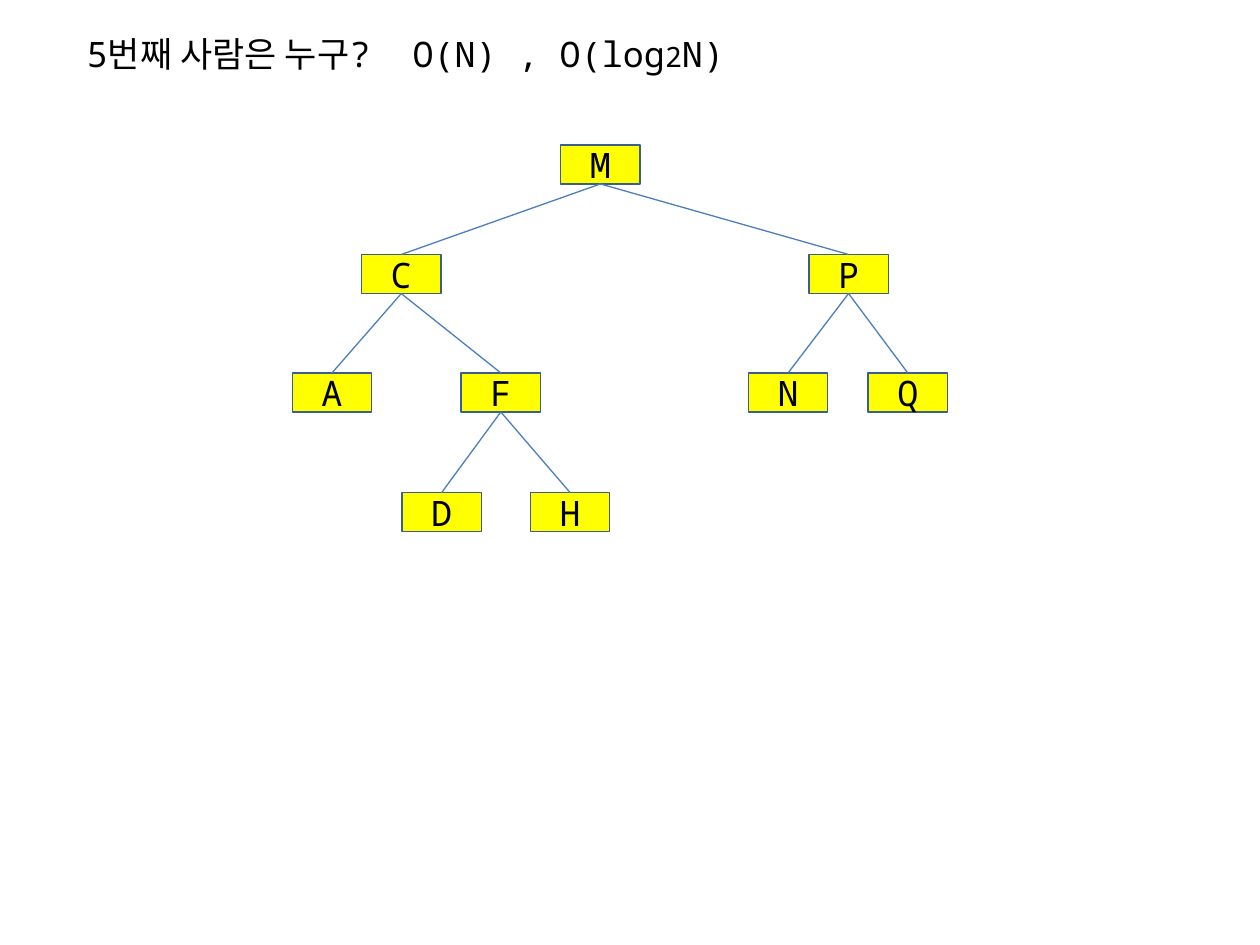
import pptx
import pptx.util
import pptx.dml.color
import pptx.enum.shapes
import pptx.enum.text
import pptx.oxml.ns
import lxml.etree

Inches = pptx.util.Inches
Pt = pptx.util.Pt
Align = pptx.enum.text.PP_ALIGN
Anchor = pptx.enum.text.MSO_ANCHOR

# Letter: (left, level, parent)
NODES = {
    "M": (4.45, 0, None),
    "C": (2.87, 1, "M"),
    "P": (6.42, 1, "M"),
    "A": (2.32, 2, "C"),
    "F": (3.66, 2, "C"),
    "N": (5.94, 2, "P"),
    "Q": (6.89, 2, "P"),
    "D": (3.19, 3, "F"),
    "H": (4.21, 3, "F"),
}
TOPS = [1.15, 2.02, 2.96, 3.91]
TITLE = [("5번째 사람은 누구?  O(N) , O(log", 20), ("2", 16), ("N)", 20)]


def color(text):
    return pptx.dml.color.RGBColor.from_string(text)


class Board:
    face = "Noto Sans Mono"
    ink = "000000"
    fill = "FFFF00"
    edge = "3A5F8C"
    link = "4B7EBC"
    line = 0.75
    size = 20
    wide, high = 0.63, 0.31

    def __init__(self, slide):
        self.slide = slide

    def style(self, run, size):
        run.font.name = self.face
        run.font.size = Pt(size)
        run.font.color.rgb = color(self.ink)

    def title(self, parts, left, top, wide, high):
        shape = self.slide.shapes.title
        shape.left, shape.top = Inches(left), Inches(top)
        shape.width, shape.height = Inches(wide), Inches(high)
        frame = shape.text_frame
        frame.word_wrap = True
        frame.auto_size = pptx.enum.text.MSO_AUTO_SIZE.NONE
        frame.vertical_anchor = Anchor.TOP
        para = frame.paragraphs[0]
        para.alignment = Align.LEFT
        for text, size in parts:
            run = para.add_run()
            run.text = text
            self.style(run, size)

    def node(self, text, left, top):
        box = self.slide.shapes.add_shape(
            pptx.enum.shapes.MSO_SHAPE.RECTANGLE,
            Inches(left), Inches(top), Inches(self.wide), Inches(self.high))
        box.shadow.inherit = False
        box.fill.solid()
        box.fill.fore_color.rgb = color(self.fill)
        box.line.color.rgb = color(self.edge)
        box.line.width = Pt(self.line)
        frame = box.text_frame
        frame.text = text
        frame.vertical_anchor = Anchor.MIDDLE
        para = frame.paragraphs[0]
        para.alignment = Align.CENTER
        self.style(para.runs[0], self.size)
        return box

    def branch(self, parent, child):
        """Join the bottom of the parent to the top of the child."""
        edge = self.slide.shapes.add_connector(
            pptx.enum.shapes.MSO_CONNECTOR.STRAIGHT, 0, 0, 0, 0)
        edge.begin_connect(parent, 2)
        edge.end_connect(child, 0)
        edge.line.color.rgb = color(self.link)
        edge.line.width = Pt(self.line)
        lxml.etree.SubElement(
            edge._element.spPr, pptx.oxml.ns.qn("a:effectLst"))


def main():
    deck = pptx.Presentation()
    deck.slide_width, deck.slide_height = Inches(10), Inches(7.5)
    board = Board(deck.slides.add_slide(deck.slide_layouts[5]))
    board.title(TITLE, 0.59, 0.21, 5.37, 0.44)
    boxes = {name: board.node(name, left, TOPS[level])
             for name, (left, level, _) in NODES.items()}
    for name, (_, _, parent) in NODES.items():
        if parent:
            board.branch(boxes[parent], boxes[name])
    deck.save("out.pptx")


if __name__ == "__main__":
    main()
